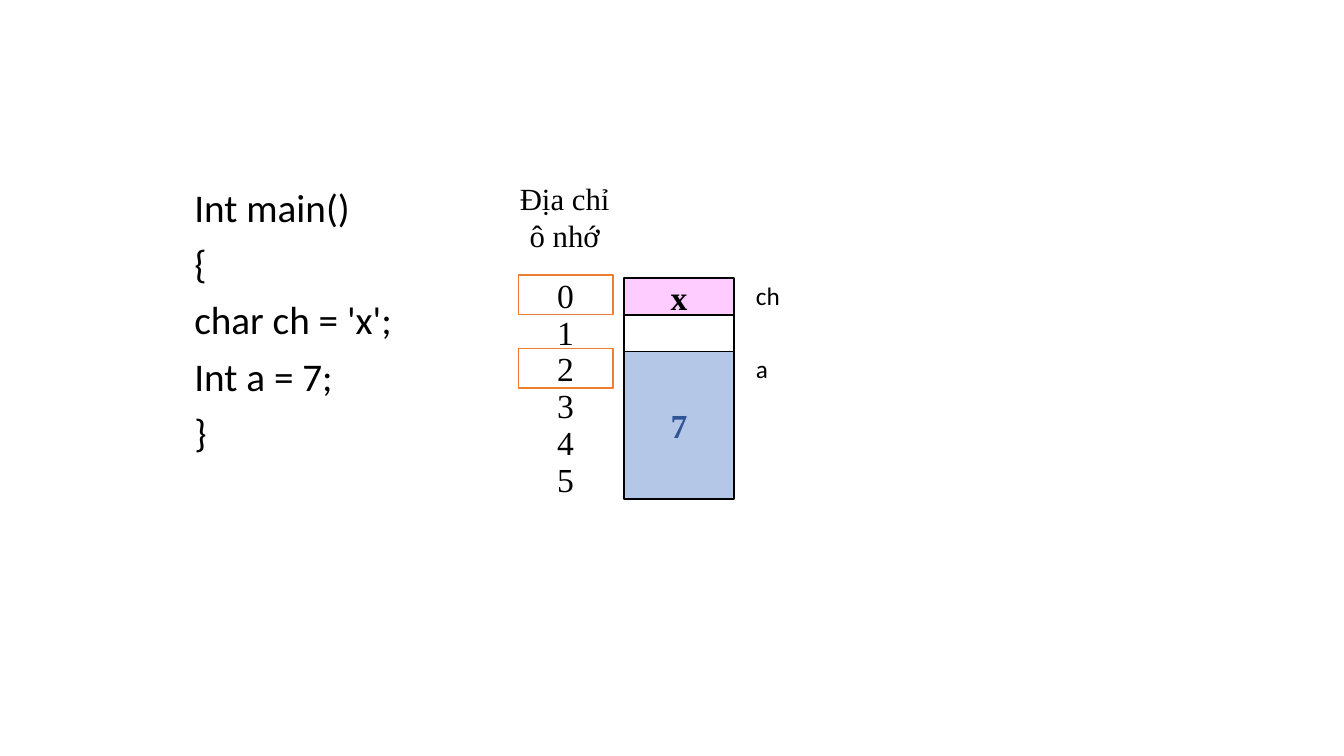
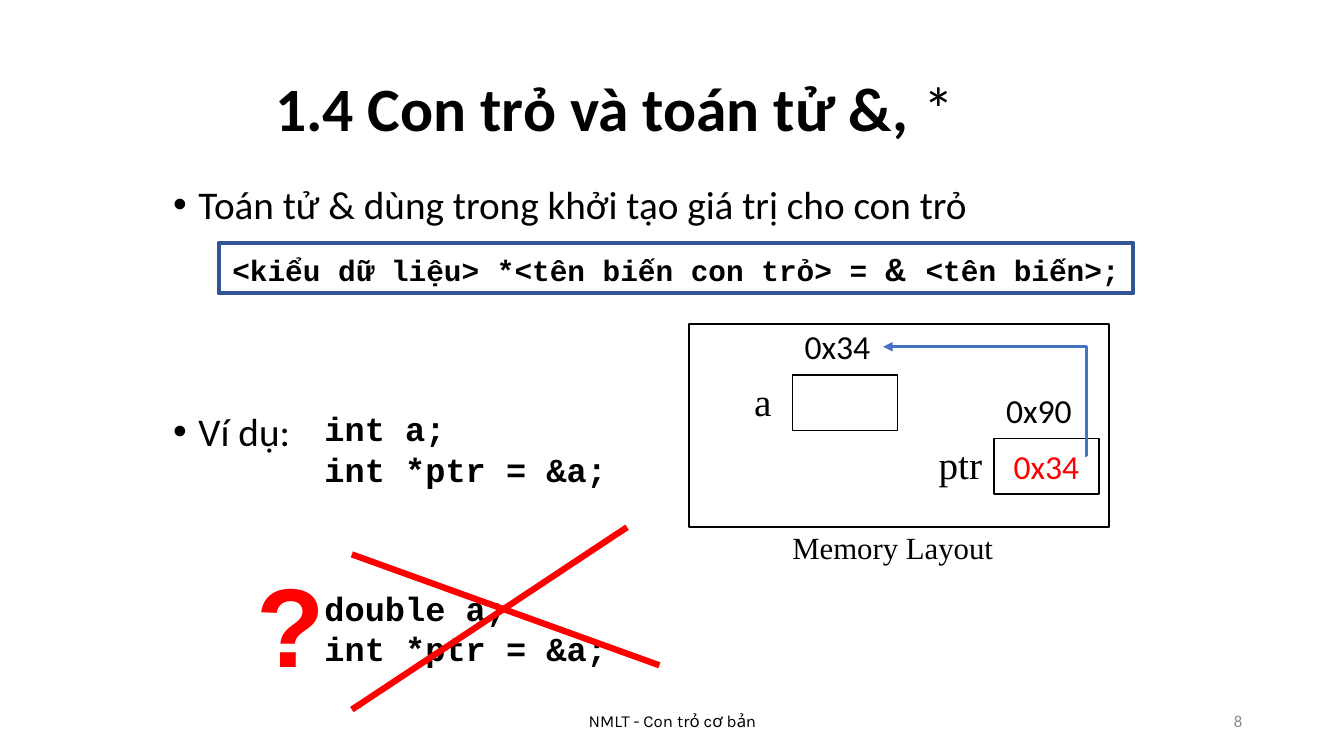
from lxml import etree
from pptx import Presentation
from pptx.dml.color import RGBColor
from pptx.enum.shapes import MSO_CONNECTOR, MSO_SHAPE
from pptx.enum.text import MSO_ANCHOR, MSO_AUTO_SIZE, PP_ALIGN
from pptx.oxml.ns import qn
from pptx.util import Inches, Pt

# Shared style
LEFT, CENTER, RIGHT = PP_ALIGN.LEFT, PP_ALIGN.CENTER, PP_ALIGN.RIGHT
TOP, MIDDLE = MSO_ANCHOR.TOP, MSO_ANCHOR.MIDDLE
STRAIGHT, ELBOW = MSO_CONNECTOR.STRAIGHT, MSO_CONNECTOR.ELBOW
RECTANGLE = MSO_SHAPE.RECTANGLE
BLACK = RGBColor(0x00, 0x00, 0x00)
WHITE = RGBColor(0xFF, 0xFF, 0xFF)
RED = RGBColor(0xFF, 0x00, 0x00)
GRAY = RGBColor(0x8C, 0x8C, 0x8C)
PINK = RGBColor(0xFF, 0xCC, 0xFF)
ORANGE = RGBColor(0xED, 0x7D, 0x31)
BLUE = RGBColor(0x44, 0x72, 0xC4)
DARK_BLUE = RGBColor(0x2F, 0x55, 0x97)
LIGHT_BLUE = RGBColor(0xB4, 0xC7, 0xE7)
SANS, SERIF, MONO = "Calibri", "Times New Roman", "Courier New"
BODY = dict(size=28, line_spacing=0.9)

# Slide 1 content: code, memory cells (first row, rows, text, fill, colour), names
MAIN_CODE = "Int main()\n{\nchar ch = 'x';\nInt a = 7;\n}"
ADDRESS_COUNT = 6
VARIABLE_STARTS = (0, 2)
MEMORY_CELLS = [
    (2, 4, "7", LIGHT_BLUE, DARK_BLUE),
    (0, 1, "x", PINK, BLACK),
    (1, 1, "", None, BLACK),
]
VARIABLE_NAMES = [(0, "ch"), (2, "a")]
ROW_TOP, ROW_HEIGHT = 2.76, 0.365

# Slide 2 content
TITLE = [("1.4 Con trỏ và toán tử &, ", {"bold": True}), ("*", {})]
BULLETS = "Toán tử & dùng trong khởi tạo giá trị cho con trỏ\nVí dụ:"
SYNTAX = [("<kiểu dữ liệu> *<tên biến con trỏ> = ", {}), ("& ", {"size": 24}),
          ("<tên biến>;", {})]
EXAMPLES = [(4.0, "int a;\nint *ptr = &a;"), (5.78, "double a;\nint *ptr = &a;")]
CROSS = [((3.49, 5.5), (6.54, 6.6)), ((6.22, 5.23), (3.49, 7.04))]
# Variables: cell left, cell top, name, name left, address, address left, value
VARIABLES = [
    (9.86, 4.35, "ptr", 8.98, "0x90", 9.76, "0x34"),
    (7.86, 3.72, "a", 7.02, "0x34", 7.76, ""),
]


def write_text(frame, text, size=18, font=SANS, color=BLACK, bold=False, align=LEFT,
               anchor=TOP, line_spacing=None, space_before=0, wrap=True):
    """Fill a frame from lines of text, or from one line of (text, format) runs."""
    frame.word_wrap = wrap
    frame.auto_size = MSO_AUTO_SIZE.NONE
    frame.vertical_anchor = anchor
    lines = [[(line, {})] for line in text.split("\n")] if isinstance(text, str) else [text]
    for index, runs in enumerate(lines):
        paragraph = frame.paragraphs[0] if index == 0 else frame.add_paragraph()
        paragraph.alignment = align
        paragraph.line_spacing = line_spacing
        paragraph.space_before = Pt(space_before if index else 0)
        for words, changes in runs:
            run = paragraph.add_run()
            run.text = words
            run.font.name = font
            run.font.size = Pt(changes.get("size", size))
            run.font.bold = changes.get("bold", bold)
            run.font.color.rgb = color


def add_text(slide, box, text, **style):
    shape = slide.shapes.add_textbox(*map(Inches, box))
    write_text(shape.text_frame, text, **style)
    return shape


def add_box(slide, box, text="", fill=None, line=BLACK, width=1, **style):
    shape = slide.shapes.add_shape(RECTANGLE, *map(Inches, box))
    shape.shadow.inherit = False
    if fill is None:
        shape.fill.background()
    else:
        shape.fill.solid()
        shape.fill.fore_color.rgb = fill
    shape.line.color.rgb = line
    shape.line.width = Pt(width)
    if text:
        write_text(shape.text_frame, text, **{"align": CENTER, "anchor": MIDDLE, **style})


def add_line(slide, kind, start, end, color, width):
    connector = slide.shapes.add_connector(kind, *map(Inches, start + end))
    connector.line.color.rgb = color
    connector.line.width = Pt(width)
    etree.SubElement(connector._element.spPr, qn("a:effectLst"))
    return connector


def add_bullets(shape):
    for paragraph in shape.text_frame.paragraphs:
        properties = paragraph._p.get_or_add_pPr()
        properties.set("marL", str(Inches(0.25)))
        properties.set("indent", str(-Inches(0.25)))
        etree.SubElement(properties, qn("a:buFont"), typeface="Arial")
        etree.SubElement(properties, qn("a:buChar"), char="•")


def build_memory_slide(presentation):
    slide = presentation.slides.add_slide(presentation.slide_layouts[6])
    add_text(slide, (1.83, 1.82, 3, 3), MAIN_CODE, space_before=10, **BODY)

    # Memory column
    for row, rows, text, fill, color in MEMORY_CELLS:
        add_box(slide, (6.19, ROW_TOP + row * ROW_HEIGHT, 1.09, rows * ROW_HEIGHT),
                text, fill=fill, size=24, font=SERIF, color=color, bold=True)

    # Address column, framed where a variable starts
    label = dict(size=24, font=SERIF, align=CENTER, anchor=MIDDLE)
    for row in range(ADDRESS_COUNT):
        box = (5.14, ROW_TOP - 0.03 + row * ROW_HEIGHT, 0.94, 0.39)
        if row in VARIABLE_STARTS:
            add_box(slide, box, str(row), fill=WHITE, line=ORANGE, **label)
        else:
            add_text(slide, box, str(row), **label)
    add_text(slide, (5.01, 1.81, 1.18, 0.68), "Địa chỉ ô nhớ", **{**label, "size": 22})
    for row, name in VARIABLE_NAMES:
        add_text(slide, (7.4, ROW_TOP - 0.03 + row * ROW_HEIGHT, 3, 0.4), name)


def build_pointer_slide(presentation):
    slide = presentation.slides.add_slide(presentation.slide_layouts[5])
    title = slide.shapes.title
    title.left, title.top, title.width, title.height = map(Inches, (2.63, 0.67, 9.82, 0.87))
    write_text(title.text_frame, TITLE, size=44, anchor=MIDDLE, line_spacing=0.9)

    # Bullets and footer
    add_bullets(add_text(slide, (1.62, 1.79, 9.57, 3), BULLETS, space_before=132, **BODY))
    add_text(slide, (4.42, 6.95, 4.5, 0.4), "NMLT - Con trỏ cơ bản", size=12,
             font="Karla", align=CENTER, anchor=MIDDLE)
    add_text(slide, (9.42, 6.95, 3, 0.4), "8", size=12, color=GRAY, align=RIGHT,
             anchor=MIDDLE)

    # Syntax and code examples
    add_box(slide, (2.17, 2.41, 9.07, 0.5), SYNTAX, line=DARK_BLUE, width=3, size=21,
            font=MONO, bold=True, anchor=TOP, wrap=False)
    for top, code in EXAMPLES:
        add_text(slide, (3.12, top, 3.04, 0.91), code, size=24, font=MONO, bold=True,
                 wrap=False)
    for start, end in CROSS:
        add_line(slide, STRAIGHT, start, end, RED, 4.5)
    add_text(slide, (2.45, 5.46, 0.89, 1.45), "?", size=80, font="Arial", color=RED,
             bold=True, wrap=False)

    # Memory layout
    add_box(slide, (6.83, 3.21, 4.17, 2.02), fill=WHITE, width=1.5)
    add_text(slide, (7.76, 5.2, 3.42, 0.47), "Memory Layout", size=22, font=SERIF)
    label = dict(align=CENTER, anchor=MIDDLE)
    for left, top, name, name_left, address, address_left, value in VARIABLES:
        add_box(slide, (left, top, 1.04, 0.55), value, fill=WHITE, size=24, color=RED)
        add_text(slide, (name_left, top + 0.08, 1.09, 0.35), name, size=28, font=SERIF, **label)
        add_text(slide, (address_left, top - 0.46, 1.09, 0.35), address, size=24, **label)

    # Pointer arrow, with its bend just right of the start
    arrow = add_line(slide, ELBOW, (10.76, 4.52), (8.76, 3.44), BLUE, 2.25)
    etree.SubElement(arrow.line._get_or_add_ln(), qn("a:tailEnd"), type="triangle")
    guides = arrow._element.spPr.find(qn("a:prstGeom")).get_or_add_avLst()
    etree.SubElement(guides, qn("a:gd"), name="adj1", fmla="val -800")


def main():
    presentation = Presentation()
    presentation.slide_width, presentation.slide_height = Inches(13.33), Inches(7.5)
    build_memory_slide(presentation)
    build_pointer_slide(presentation)
    presentation.save("out.pptx")


if __name__ == "__main__":
    main()
